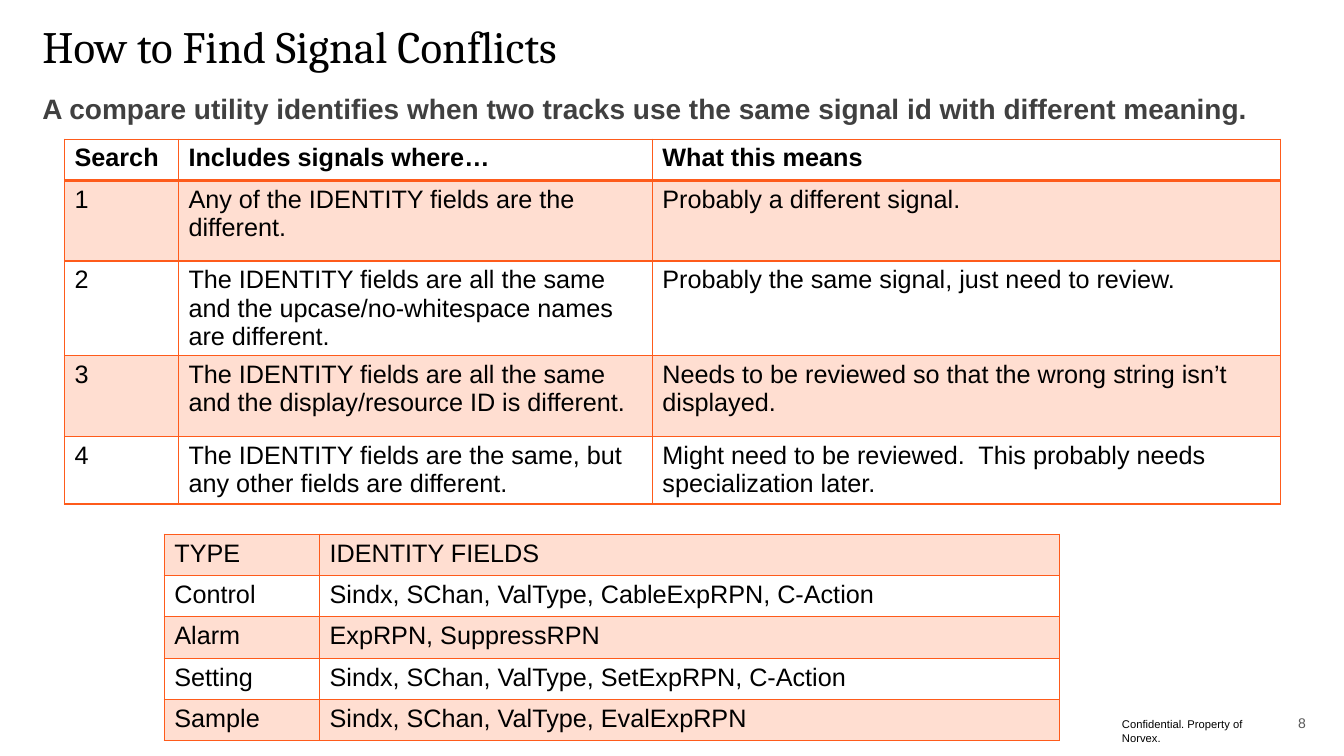
from dataclasses import dataclass

from lxml.etree import SubElement
from pptx import Presentation
from pptx.dml.color import RGBColor as RGB
from pptx.enum.text import MSO_ANCHOR as ANCHOR, MSO_AUTO_SIZE as AUTOSIZE, PP_ALIGN as ALIGN
from pptx.oxml.ns import qn
from pptx.util import Inches, Pt


@dataclass(frozen=True)
class Theme:
    black: str = "000000"
    dark: str = "404040"
    gray: str = "595959"
    orange: str = "FE5B1B"
    tint: str = "FFDED1"
    heading: str = "Cambria"
    body: str = "Arial"
    title_size: int = 32
    lead_size: int = 20
    table_size: int = 18
    number_size: int = 10
    footer_size: int = 8


T = Theme()


def write(tf, text, size=T.table_size, font=T.body, color=T.black, bold=False,
          align=ALIGN.LEFT, spacing=1.0):
    p = tf.paragraphs[0]
    p.alignment = align
    p.line_spacing = spacing
    r = p.add_run()
    r.text = text
    r.font.size = Pt(size)
    r.font.name = font
    r.font.bold = bold
    r.font.color.rgb = RGB.from_string(color)


def add_grid(left, top, widths, heights, rows, header, tinted):
    frame = slide.shapes.add_table(len(rows), len(widths), Inches(left), Inches(top),
                                   Inches(sum(widths)), Inches(sum(heights)))
    table = frame.table
    table.first_row = header
    table.horz_banding = False
    for column, width in zip(table.columns, widths):
        column.width = Inches(width)
    for i, (row, height) in enumerate(zip(rows, heights)):
        table.rows[i].height = Inches(height)
        for j, text in enumerate(row):
            cell = table.cell(i, j)
            write(cell.text_frame, text, bold=header and i == 0)
            tcPr = cell._tc.get_or_add_tcPr()
            for side in ("lnL", "lnR", "lnT", "lnB"):
                thick = header and (i, side) in ((0, "lnB"), (1, "lnT"))
                ln = SubElement(tcPr, qn(f"a:{side}"), w=str(Pt(2 if thick else 1)))
                SubElement(SubElement(ln, qn("a:solidFill")), qn("a:srgbClr"), val=T.orange)
            if i % 2 == tinted:
                cell.fill.solid()
                cell.fill.fore_color.rgb = RGB.from_string(T.tint)
            else:
                cell.fill.background()


prs = Presentation()
prs.slide_width = Inches(13.33)
prs.slide_height = Inches(7.5)
slide = prs.slides.add_slide(prs.slide_layouts[5])

title = slide.shapes.title
title.left, title.top = Inches(0.42), Inches(0.18)
title.width, title.height = Inches(12.5), Inches(0.61)
lead = slide.shapes.add_textbox(Inches(0.42), Inches(0.95), Inches(12.5), Inches(0.35))
for sp in (title, lead):
    tf = sp.text_frame
    tf.margin_left = tf.margin_top = tf.margin_right = tf.margin_bottom = 0
    tf.word_wrap = True
    tf.auto_size = AUTOSIZE.NONE
title.text_frame.vertical_anchor = ANCHOR.MIDDLE
write(title.text_frame, "How to Find Signal Conflicts", size=T.title_size,
      font=T.heading, spacing=0.9)
write(lead.text_frame,
      "A compare utility identifies when two tracks use the same signal id with different meaning.",
      size=T.lead_size, color=T.dark, bold=True, spacing=0.9)

searches = [
    ("Search", "Includes signals where…", "What this means"),
    ("1", "Any of the IDENTITY fields are the different.", "Probably a different signal."),
    ("2", "The IDENTITY fields are all the same and the upcase/no-whitespace names are different.",
     "Probably the same signal, just need to review."),
    ("3", "The IDENTITY fields are all the same and the display/resource ID is different.",
     "Needs to be reviewed so that the wrong string isn’t displayed."),
    ("4", "The IDENTITY fields are the same, but any other fields are different.",
     "Might need to be reviewed.  This probably needs specialization later."),
]
add_grid(0.64, 1.38, [1.13, 4.7, 6.23], [0.41, 0.8, 0.94, 0.8, 0.67], searches,
         header=True, tinted=1)

identity_fields = [
    ("TYPE", "IDENTITY FIELDS"),
    ("Control", "Sindx, SChan, ValType, CableExpRPN, C-Action"),
    ("Alarm", "ExpRPN, SuppressRPN"),
    ("Setting", "Sindx, SChan, ValType, SetExpRPN, C-Action"),
    ("Sample", "Sindx, SChan, ValType, EvalExpRPN"),
]
add_grid(1.63, 5.3, [1.54, 7.34], [0.41] * 5, identity_fields, header=False, tinted=0)

footer = slide.shapes.add_textbox(Inches(11.03), Inches(7.07), Inches(1.76), Inches(0.24))
footer.text_frame.word_wrap = False
write(footer.text_frame, "Confidential. Property of Norvex.", size=T.footer_size)

number = slide.shapes.add_textbox(Inches(12.5), Inches(7.06), Inches(0.55), Inches(0.22))
number.text_frame.word_wrap = True
number.text_frame.vertical_anchor = ANCHOR.MIDDLE
write(number.text_frame, "8", size=T.number_size, color=T.gray, align=ALIGN.RIGHT)

prs.save("out.pptx")
